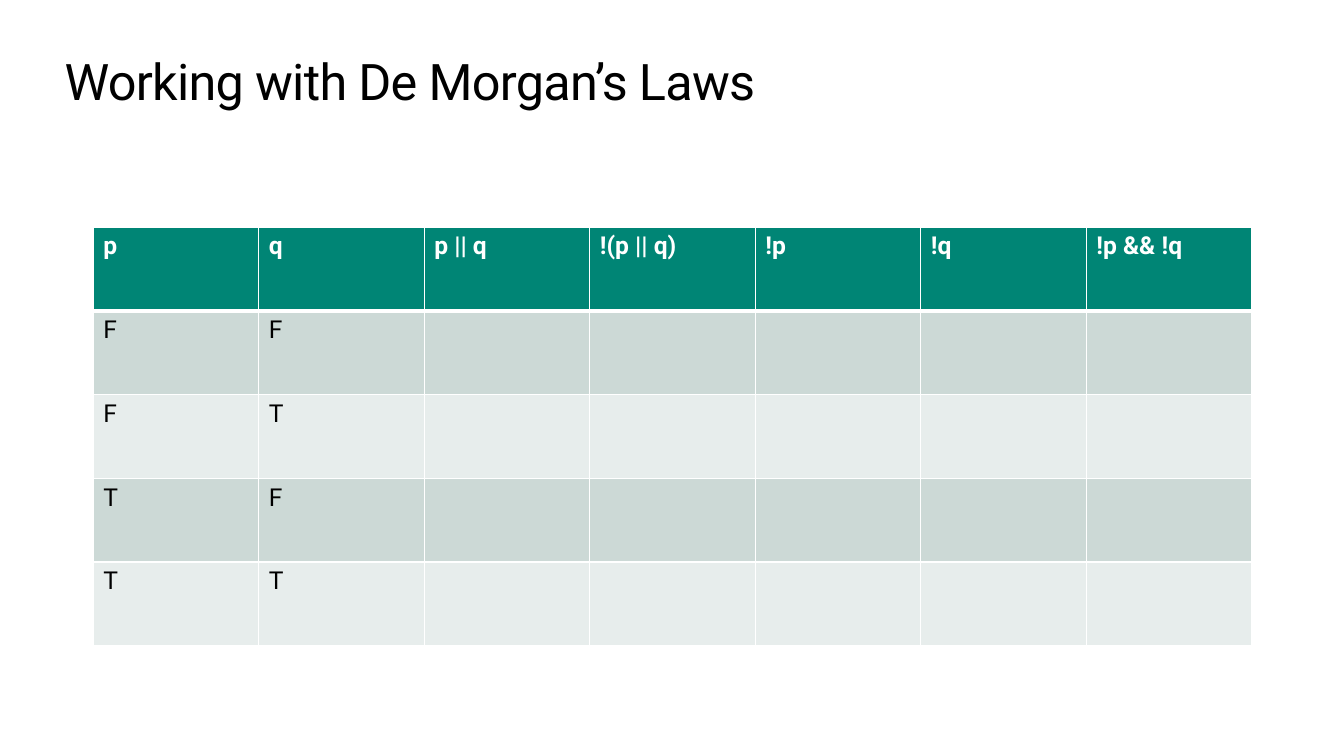
from dataclasses import dataclass

from lxml.etree import SubElement
from pptx import Presentation
from pptx.dml.color import RGBColor as RGB
from pptx.enum.text import MSO_AUTO_SIZE as AutoSize
from pptx.oxml.ns import qn
from pptx.util import Cm, Pt


@dataclass(frozen=True)
class Theme:
    """Colours, font and type sizes of the slide."""
    font: str = "Roboto"
    text: str = "000000"
    header_text: str = "FFFFFF"
    header_fill: str = "008575"
    bands: tuple = ("CCD9D6", "E7EDEC")
    rule: str = "FFFFFF"
    title_size: float = 36
    cell_size: float = 17.6


class SlideBuilder:
    """Draws styled elements on the current slide."""

    def __init__(self, prs, theme):
        """Add a blank slide to the presentation."""
        self.theme = theme
        self.s = prs.slides.add_slide(prs.slide_layouts[6])

    def style(self, p, size, color, bold=False):
        """Set the font of a paragraph."""
        p.font.name = self.theme.font
        p.font.size = Pt(size)
        p.font.bold = bold
        p.font.color.rgb = RGB.from_string(color)

    def title(self, text, left, top, width, height):
        """Add the heading with slightly tightened letters."""
        sp = self.s.shapes.add_textbox(Cm(left), Cm(top), Cm(width), Cm(height))
        tf = sp.text_frame
        tf.word_wrap = True
        tf.auto_size = AutoSize.SHAPE_TO_FIT_TEXT
        tf.margin_left = tf.margin_top = tf.margin_right = tf.margin_bottom = 0
        p = tf.paragraphs[0]
        r = p.add_run()
        r.text = text
        r._r.get_or_add_rPr().set("spc", "-50")
        self.style(p, self.theme.title_size, self.theme.text)

    def borders(self, cell, top, bottom):
        """Rule all four sides of a cell, with widths in points."""
        tc_pr = cell._tc.get_or_add_tcPr()
        for side, width in (("L", 1), ("R", 1), ("T", top), ("B", bottom)):
            ln = SubElement(tc_pr, qn(f"a:ln{side}"), w=str(Pt(width)))
            fill = SubElement(ln, qn("a:solidFill"))
            SubElement(fill, qn("a:srgbClr"), val=self.theme.rule)

    def table(self, header, rows, left, top, width, height):
        """Add a banded table with equal columns and rows."""
        t = self.theme
        n_rows, n_cols = len(rows) + 1, len(header)
        table = self.s.shapes.add_table(
            n_rows, n_cols, Cm(left), Cm(top), Cm(width), Cm(height)).table
        for column in table.columns:
            column.width = Cm(width / n_cols)
        for row in table.rows:
            row.height = Cm(height / n_rows)
        for i, texts in enumerate([header, *rows]):
            is_header = i == 0
            fill = t.header_fill if is_header else t.bands[(i - 1) % 2]
            color = t.header_text if is_header else t.text
            for j in range(n_cols):
                cell = table.cell(i, j)
                self.borders(cell, 3 if i == 1 else 1, 3 if is_header else 1)
                cell.fill.solid()
                cell.fill.fore_color.rgb = RGB.from_string(fill)
                p = cell.text_frame.paragraphs[0]
                if j < len(texts):
                    p.text = texts[j]
                self.style(p, t.cell_size, color, is_header)


def main():
    """Build and save the truth table slide."""
    prs = Presentation()
    prs.slide_width, prs.slide_height = Cm(33.87), Cm(19.05)
    slide = SlideBuilder(prs, Theme())
    slide.title("Working with De Morgan’s Laws", 1.63, 1.27, 30.6, 1.55)
    header = ["p", "q", "p || q", "!(p || q)", "!p", "!q", "!p && !q"]
    rows = [(p, q) for p in "FT" for q in "FT"]
    slide.table(header, rows, 2.35, 5.72, 29.2, 10.55)
    prs.save("out.pptx")


if __name__ == "__main__":
    main()
